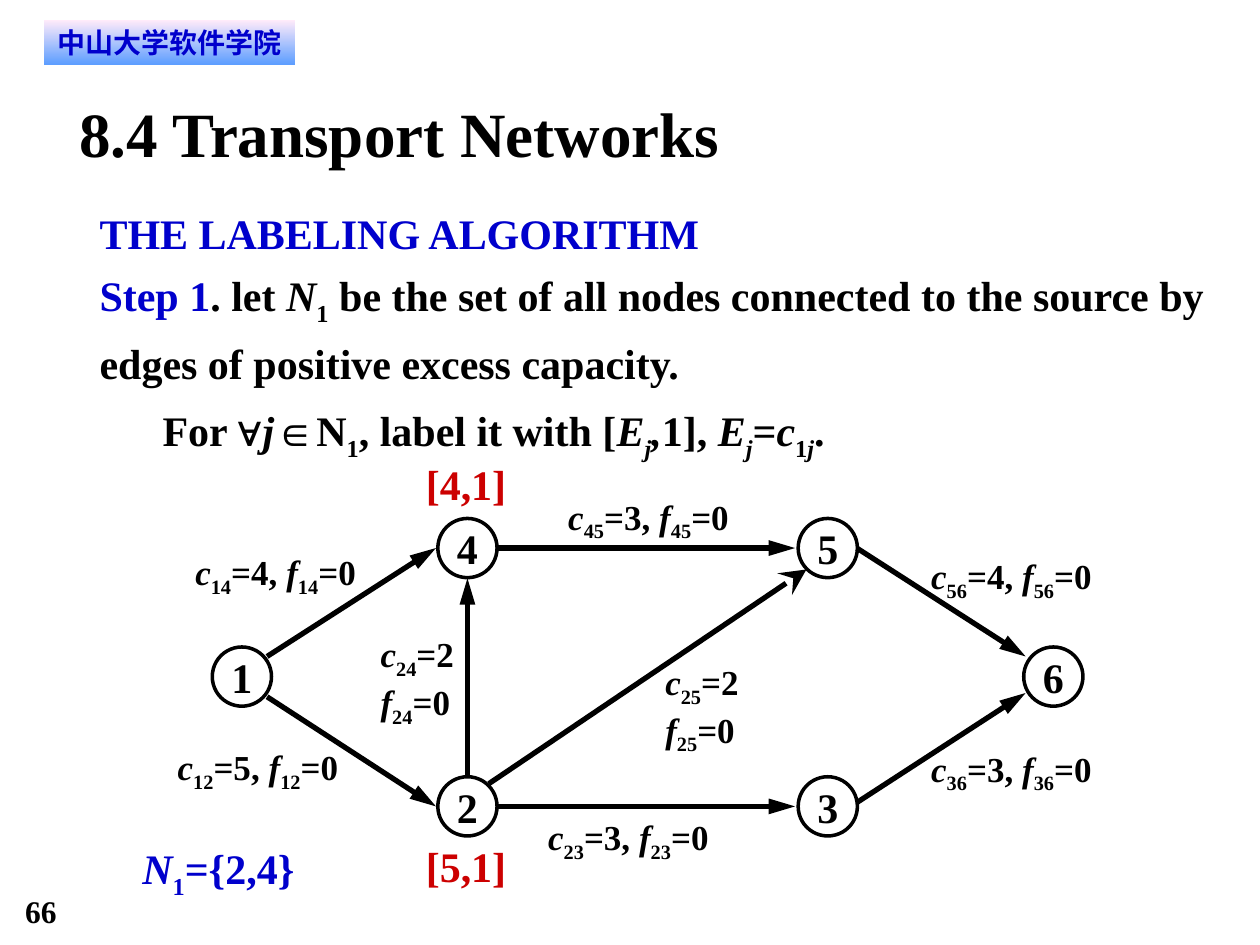
import pptx
import pptx.dml.color
import pptx.enum.shapes
import pptx.enum.text
import pptx.oxml.ns
import pptx.util
from lxml import etree

Inches, Pt = pptx.util.Inches, pptx.util.Pt
RGBColor = pptx.dml.color.RGBColor
SHAPE = pptx.enum.shapes.MSO_SHAPE
CENTER = pptx.enum.text.PP_ALIGN.CENTER
MIDDLE = pptx.enum.text.MSO_ANCHOR.MIDDLE
qn = pptx.oxml.ns.qn

BLACK = RGBColor(0x00, 0x00, 0x00)
BLUE = RGBColor(0x00, 0x00, 0xCC)
RED = RGBColor(0xCC, 0x00, 0x00)
PINK = RGBColor(0xFF, 0xEB, 0xFA)
SKY = RGBColor(0x5E, 0x9E, 0xFF)
SERIF = "Times New Roman"


def fill_text(shape, lines, size, color=BLACK, align=None, spacing=None, font=SERIF):
    """Write lines of (text, style) spans; style letters: i italic, s subscript, b blue, a Arial."""
    frame = shape.text_frame
    frame.word_wrap = True
    frame.margin_left = frame.margin_right = frame.margin_top = frame.margin_bottom = 0
    for index, spans in enumerate(lines):
        para = frame.paragraphs[0] if index == 0 else frame.add_paragraph()
        para.alignment = align
        if spacing:
            para.line_spacing = spacing[index]
        para.font.name, para.font.size, para.font.bold = font, Pt(size), True
        para.font.color.rgb = color
        for text, style in spans:
            span = para.add_run()
            span.text = text
            if "i" in style:
                span.font.italic = True
            if "s" in style:
                span._r.get_or_add_rPr().set("baseline", "-25000")
            if "b" in style:
                span.font.color.rgb = BLUE
            if "a" in style:
                span.font.name = "Arial"


def add_text(left, top, width, height, lines, size, **options):
    box = page.shapes.add_textbox(Inches(left), Inches(top), Inches(width), Inches(height))
    fill_text(box, lines, size, **options)


deck = pptx.Presentation()
deck.slide_width, deck.slide_height = Inches(10), Inches(7.5)
page = deck.slides.add_slide(deck.slide_layouts[6])

# Banner, title and page number
banner = page.shapes.add_shape(SHAPE.RECTANGLE, Inches(0.35), Inches(0.16), Inches(1.99), Inches(0.35))
banner.shadow.inherit = False
banner.line.fill.background()
banner.fill.gradient()
banner.fill.gradient_angle = 270
for stop, color in zip(banner.fill.gradient_stops, (PINK, SKY)):
    stop.color.rgb = color
fill_text(banner, [[("中山大学软件学院", "")]], 16, color=BLUE, align=CENTER, font="DejaVu Sans")
add_text(0.63, 0.75, 8.75, 0.6, [[("8.4 Transport Networks", "")]], 36)
add_text(0.2, 7.08, 0.75, 0.3, [[("66", "")]], 18)

# Algorithm
algorithm = [
    [("THE LABELING ALGORITHM", "b")],
    [("Step 1", "b"), (". let ", ""), ("N", "i"), ("1", "s"),
     (" be the set of all nodes connected to the source by edges of positive excess capacity.", "")],
    [("\tFor ", ""), ("∀", "a"), ("j", "i"), ("∈", "a"), ("N", ""), ("1", "s"),
     (", label it with [", ""), ("E", "i"), ("j", "is"), (",", "i"), ("1], ", ""),
     ("E", "i"), ("j", "is"), ("=", ""), ("c", "i"), ("1", "s"), ("j", "is"), (".", "")],
]
add_text(0.79, 1.57, 8.79, 2.62, algorithm, 24, spacing=(1.2, 1.2, 1.3))

# Node labels and the resulting set
add_text(3.38, 3.64, 0.8, 0.4, [[("[4,1]", "")]], 24, color=RED)
add_text(3.38, 6.67, 0.8, 0.4, [[("[5,1]", "")]], 24, color=RED)
add_text(1.13, 6.69, 1.4, 0.46, [[("N", "i"), ("1", "s"), ("={2,4}", "")]], 24, color=BLUE)

# Capacity and flow of each edge: edge, capacity, left, top, stacked
edge_labels = [
    ("25", 2, 5.28, 5.24, True),
    ("12", 5, 1.41, 5.92, False),
    ("24", 2, 3.02, 5.02, True),
    ("23", 3, 4.35, 6.47, False),
    ("36", 3, 7.39, 5.93, False),
    ("56", 4, 7.39, 4.40, False),
    ("14", 4, 1.55, 4.37, False),
    ("45", 3, 4.51, 3.93, False),
]
for edge, capacity, left, top, stacked in edge_labels:
    capacity_spans = [("c", "i"), (edge, "s"), (f"={capacity}", "")]
    flow_spans = [("f", "i"), (edge, "s"), ("=0", "")]
    if stacked:
        add_text(left, top, 0.75, 0.76, [capacity_spans, flow_spans], 20)
    else:
        add_text(left, top, 1.6, 0.38, [capacity_spans + [(", ", "")] + flow_spans], 20)

# Network: node centres lie on four columns and three rows
COLUMNS = (1.92, 3.71, 6.57, 8.36)
ROWS = (4.35, 5.37, 6.4)
DIAMETER = 0.47
places = {"1": (0, 1), "2": (1, 2), "3": (2, 2), "4": (1, 0), "5": (2, 0), "6": (3, 1)}
centres = {name: (COLUMNS[column], ROWS[row]) for name, (column, row) in places.items()}

# Edges: start node and offset, end node and offset, arrowhead
edges = [
    ("4", (0.24, 0), "5", (-0.26, 0), "triangle"),
    ("2", (0, -0.23), "4", (0, 0.24), "triangle"),
    ("3", (0.23, -0.03), "6", (-0.22, 0.13), "triangle"),
    ("2", (0.24, 0), "3", (-0.26, 0), "triangle"),
    ("5", (0.23, 0), "6", (-0.22, -0.16), "triangle"),
    ("2", (0.17, -0.18), "5", (-0.17, 0.17), "stealth"),
    ("1", (0.2, -0.16), "4", (-0.25, 0), "triangle"),
    ("1", (0.2, 0.16), "2", (-0.25, 0), "triangle"),
]
for start, start_offset, end, end_offset, head in edges:
    points = [Inches(centre + shift)
              for node, offset in ((start, start_offset), (end, end_offset))
              for centre, shift in zip(centres[node], offset)]
    arrow = page.shapes.add_connector(pptx.enum.shapes.MSO_CONNECTOR.STRAIGHT, *points)
    arrow.line.color.rgb = BLACK
    arrow.line.width = Pt(3)
    etree.SubElement(arrow.line._get_or_add_ln(), qn("a:tailEnd"), type=head,
                     w="lg" if head == "stealth" else "med", len="lg")
    etree.SubElement(arrow._element.spPr, qn("a:effectLst"))

for name, (x, y) in centres.items():
    node = page.shapes.add_shape(SHAPE.OVAL, Inches(x - DIAMETER / 2), Inches(y - DIAMETER / 2),
                                 Inches(DIAMETER), Inches(DIAMETER))
    node.shadow.inherit = False
    node.fill.background()
    node.line.color.rgb = BLACK
    node.line.width = Pt(2)
    node.text_frame.vertical_anchor = MIDDLE
    fill_text(node, [[(name, "")]], 24, align=CENTER)

deck.save("out.pptx")
